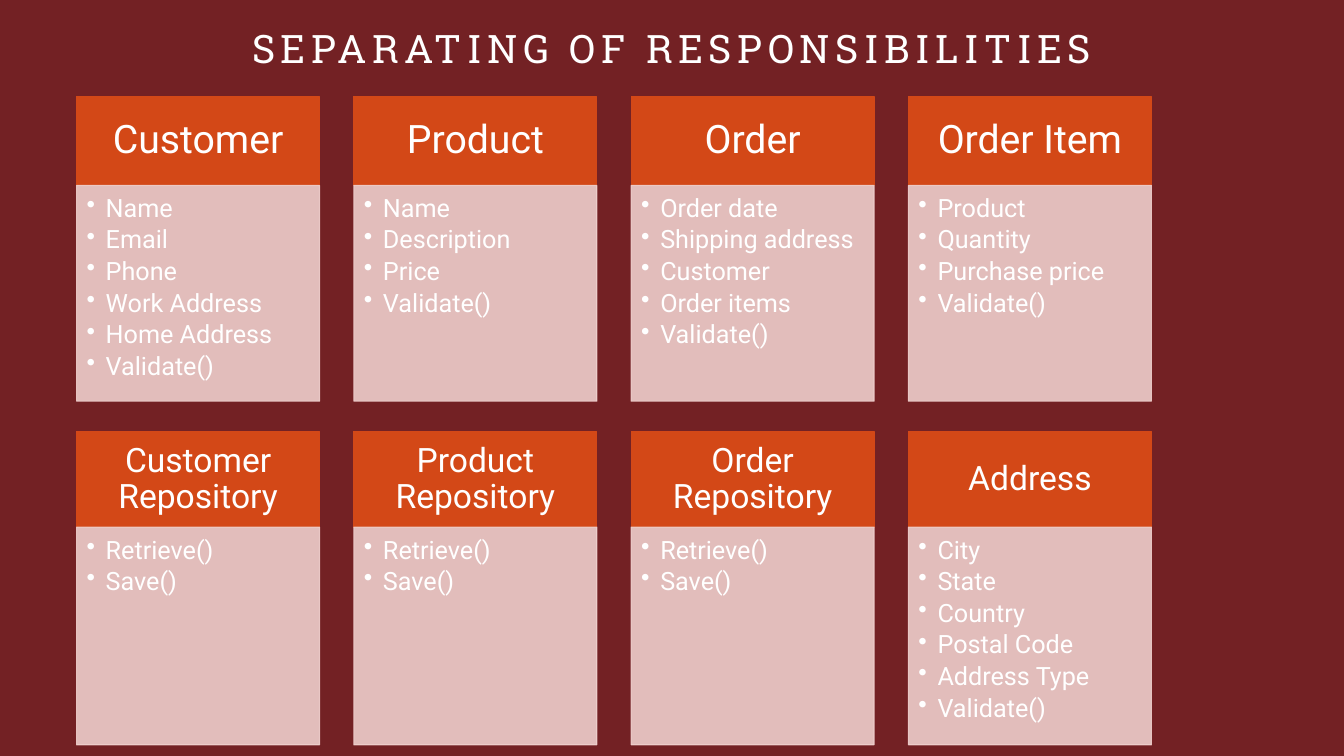
from pptx import Presentation
from pptx.dml.color import RGBColor
from pptx.enum.shapes import MSO_SHAPE as Shape
from pptx.enum.text import MSO_ANCHOR as Anchor, MSO_AUTO_SIZE as Fit, PP_ALIGN as Align
from pptx.oxml import parse_xml
from pptx.oxml.ns import nsdecls, qn
from pptx.util import Inches, Pt

TITLE = "SEPARATING OF RESPONSIBILITIES"
RETRIEVE_SAVE = ("Retrieve()", "Save()")
ENTITIES = {
    "Customer": ("Name", "Email", "Phone", "Work Address", "Home Address", "Validate()"),
    "Product": ("Name", "Description", "Price", "Validate()"),
    "Order": ("Order date", "Shipping address", "Customer", "Order items", "Validate()"),
    "Order Item": ("Product", "Quantity", "Purchase price", "Validate()"),
}
SUPPORT = {
    "Customer Repository": RETRIEVE_SAVE,
    "Product Repository": RETRIEVE_SAVE,
    "Order Repository": RETRIEVE_SAVE,
    "Address": ("City", "State", "Country", "Postal Code", "Address Type", "Validate()"),
}
ROWS = (
    {"cards": ENTITIES, "top": 0.96, "head": 0.88, "body": 2.14, "size": 28, "inset": (0.22, 0.12)},
    {"cards": SUPPORT, "top": 4.28, "head": 0.95, "body": 2.16, "size": 24, "inset": (0.19, 0.11)},
)


def color(code):
    """Turn a hex string into a colour."""
    return RGBColor.from_string(code)


def apply(target, values):
    """Set each named attribute on the target."""
    for name, value in values.items():
        setattr(target, name, value)


class CardPage:
    """Style and drawing methods for a page of class cards."""

    BACK, ACCENT, PANEL, TEXT = "732124", "D34817", "EFCFCC", "FFFFFF"
    FONT, TITLE_FONT = "Roboto", "Roboto Slab"
    LEFT, STEP, WIDTH = 0.76, 2.75, 2.41

    def __init__(self, deck):
        """Add a title-only page with a plain background."""
        self.page = deck.slides.add_slide(deck.slide_layouts[5])
        fill = self.page.background.fill
        fill.solid()
        fill.fore_color.rgb = color(self.BACK)

    def frame(self, box, insets, anchor):
        """Prepare the text frame of a box."""
        sides = ("margin_left", "margin_top", "margin_right", "margin_bottom")
        values = {side: Inches(inset) for side, inset in zip(sides, insets)}
        frame = box.text_frame
        apply(frame, values | {"word_wrap": True, "auto_size": Fit.NONE, "vertical_anchor": anchor})
        return frame

    def add_span(self, para, text, size, font, layout):
        """Add one formatted span to a paragraph."""
        apply(para, layout)
        span = para.add_run()
        span.text = text
        apply(span.font, {"size": Pt(size), "name": font})
        span.font.color.rgb = color(self.TEXT)
        return span

    def title(self, text):
        """Place the letter-spaced title."""
        box = self.page.shapes.title
        place = {"left": 1.18, "top": 0.19, "width": 10.97, "height": 0.72}
        apply(box, {side: Inches(length) for side, length in place.items()})
        frame = self.frame(box, (0.1, 0.05, 0.1, 0.05), Anchor.TOP)
        layout = {"alignment": Align.CENTER}
        span = self.add_span(frame.paragraphs[0], text, 28, self.TITLE_FONT, layout)
        span._r.get_or_add_rPr().set("spc", "400")

    def block(self, column, top, height, code, opacity=100):
        """Draw a filled rectangle in a grid column."""
        left = self.LEFT + column * self.STEP
        box = self.page.shapes.add_shape(
            Shape.RECTANGLE, *map(Inches, (left, top, self.WIDTH, height)))
        box.shadow.inherit = False
        box.fill.solid()
        box.fill.fore_color.rgb = box.line.color.rgb = color(code)
        box.line.width = Pt(0.85)
        if opacity < 100:
            for tint in box._element.spPr.iter(qn("a:srgbClr")):
                tint.append(parse_xml(f'<a:alpha {nsdecls("a")} val="{opacity * 1000}"/>'))
        return box

    def heading(self, column, row, text):
        """Draw the heading of a card."""
        box = self.block(column, row["top"], row["head"], self.ACCENT)
        frame = self.frame(box, row["inset"] * 2, Anchor.MIDDLE)
        layout = {"alignment": Align.CENTER, "line_spacing": 0.9}
        self.add_span(frame.paragraphs[0], text, row["size"], self.FONT, layout)

    def members(self, column, row, items):
        """Draw the bulleted members of a card."""
        box = self.block(column, row["top"] + row["head"], row["body"], self.PANEL, 90)
        frame = self.frame(box, (0.1, 0.1, 0.14, 0.16), Anchor.TOP)
        layout = {"alignment": Align.LEFT, "level": 1, "line_spacing": 0.9, "space_after": Pt(3.15)}
        for index, item in enumerate(items):
            para = frame.add_paragraph() if index else frame.paragraphs[0]
            indent = para._p.get_or_add_pPr()
            indent.set("marL", str(Inches(0.19)))
            indent.set("indent", str(-Inches(0.19)))
            indent.append(parse_xml(f'<a:buChar {nsdecls("a")} char="•"/>'))
            self.add_span(para, item, 18, self.FONT, layout)

    def card_row(self, row):
        """Draw a row of cards."""
        for column, (name, items) in enumerate(row["cards"].items()):
            self.heading(column, row, name)
            self.members(column, row, items)


def main():
    """Build and save the deck."""
    deck = Presentation()
    apply(deck, {"slide_width": Inches(13.33), "slide_height": Inches(7.5)})
    page = CardPage(deck)
    page.title(TITLE)
    for row in ROWS:
        page.card_row(row)
    deck.save("out.pptx")


if __name__ == "__main__":
    main()
